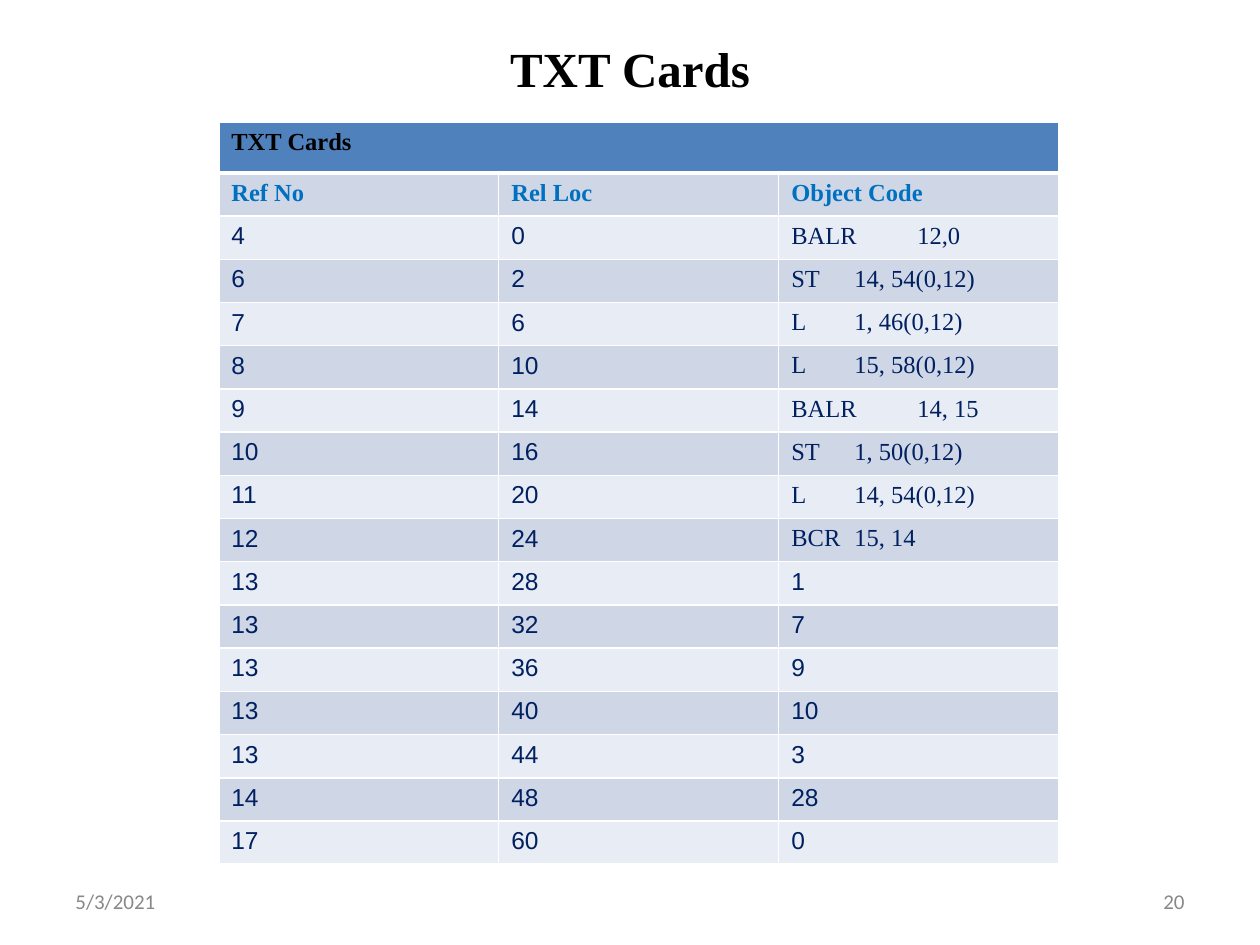
from dataclasses import dataclass

from lxml import etree
from pptx import Presentation
from pptx import util as u
from pptx.dml.color import RGBColor
from pptx.enum import text
from pptx.oxml import ns

SERIF = "Times New Roman"
SANS = "Arial"
BANDS = ("E8ECF4", "CFD7E7")
COLUMN_WIDTH = 160
HEADER_HEIGHT = 28.8
ROW_HEIGHT = 24.7


@dataclass(frozen=True)
class Style:
    font: str
    size: float
    color: str
    bold: bool = False


@dataclass(frozen=True)
class Card:
    ref_no: int
    rel_loc: int
    object_code: str


@dataclass(frozen=True)
class FooterItem:
    wording: str
    left: float
    align: text.PP_ALIGN


TITLE = Style(SERIF, 28, "000000", True)
CAPTION = Style(SERIF, 14, "000000", True)
HEADING = Style(SERIF, 14, "0070C0", True)
NUMBER = Style(SANS, 14, "002060")
INSTRUCTION = Style(SERIF, 14, "002060")
FOOTER = Style("Calibri", 12, "888888")

HEADINGS = ("Ref No", "Rel Loc", "Object Code")
CARDS = (
    Card(4, 0, "BALR \t12,0"),
    Card(6, 2, "ST \t14, 54(0,12)"),
    Card(7, 6, "L\t1, 46(0,12)"),
    Card(8, 10, "L\t15, 58(0,12)"),
    Card(9, 14, "BALR \t14, 15"),
    Card(10, 16, "ST \t1, 50(0,12)"),
    Card(11, 20, "L\t14, 54(0,12)"),
    Card(12, 24, "BCR \t15, 14"),
    Card(13, 28, "1"),
    Card(13, 32, "7"),
    Card(13, 36, "9"),
    Card(13, 40, "10"),
    Card(13, 44, "3"),
    Card(14, 48, "28"),
    Card(17, 60, "0"),
)
FOOTER_ITEMS = (
    FooterItem("5/3/2021", 36, text.PP_ALIGN.LEFT),
    FooterItem("20", 516, text.PP_ALIGN.RIGHT),
)


def rgb(hex_color: str) -> RGBColor:
    return RGBColor.from_string(hex_color)


def write(frame, wording: str, style: Style, align=text.PP_ALIGN.LEFT) -> None:
    paragraph = frame.paragraphs[0]
    paragraph.add_run().text = wording
    paragraph.alignment = align
    paragraph.font.name = style.font
    paragraph.font.size = u.Pt(style.size)
    paragraph.font.bold = style.bold
    paragraph.font.color.rgb = rgb(style.color)


def add_borders(cell, top: float, bottom: float) -> None:
    properties = cell._tc.get_or_add_tcPr()
    for side, width in (("L", 1), ("R", 1), ("T", top), ("B", bottom)):
        line = etree.SubElement(properties, ns.qn(f"a:ln{side}"), w=str(u.Pt(width)))
        fill = etree.SubElement(line, ns.qn("a:solidFill"))
        etree.SubElement(fill, ns.qn("a:srgbClr"), val="FFFFFF")


def style_cell(cell, row: int) -> None:
    add_borders(cell, 3 if row == 1 else 1, 3 if row == 0 else 1)
    cell.fill.solid()
    cell.fill.fore_color.rgb = rgb("4F81BD" if row == 0 else BANDS[row % 2])


def add_card_table(slide) -> None:
    row_count = len(CARDS) + 2
    height = HEADER_HEIGHT + ROW_HEIGHT * (row_count - 1)
    table = slide.shapes.add_table(
        row_count, len(HEADINGS), u.Pt(125), u.Pt(70),
        u.Pt(COLUMN_WIDTH * len(HEADINGS)), u.Pt(height),
    ).table
    for column in table.columns:
        column.width = u.Pt(COLUMN_WIDTH)
    for index, row in enumerate(table.rows):
        row.height = u.Pt(ROW_HEIGHT if index else HEADER_HEIGHT)
        for cell in row.cells:
            style_cell(cell, index)

    caption = table.cell(0, 0)
    caption.merge(table.cell(0, len(HEADINGS) - 1))
    write(caption.text_frame, "TXT Cards", CAPTION)
    for column, heading in enumerate(HEADINGS):
        write(table.cell(1, column).text_frame, heading, HEADING)
    for row, card in enumerate(CARDS, start=2):
        for column, value in enumerate((card.ref_no, card.rel_loc, card.object_code)):
            wording = str(value)
            style = INSTRUCTION if "\t" in wording else NUMBER
            write(table.cell(row, column).text_frame, wording, style)


def add_title(slide) -> None:
    title = slide.shapes.title
    title.left, title.top = u.Pt(54), u.Pt(18)
    title.width, title.height = u.Pt(612), u.Pt(42)
    title.text_frame.vertical_anchor = text.MSO_ANCHOR.MIDDLE
    write(title.text_frame, "TXT Cards", TITLE, text.PP_ALIGN.CENTER)


def add_footer_item(slide, item: FooterItem) -> None:
    box = slide.shapes.add_textbox(u.Pt(item.left), u.Pt(500.5), u.Pt(168), u.Pt(28.75))
    box.text_frame.word_wrap = True
    box.text_frame.vertical_anchor = text.MSO_ANCHOR.MIDDLE
    write(box.text_frame, item.wording, FOOTER, item.align)


def main() -> None:
    presentation = Presentation()
    presentation.slide_width, presentation.slide_height = u.Pt(720), u.Pt(540)
    slide = presentation.slides.add_slide(presentation.slide_layouts.get_by_name("Title Only"))
    add_title(slide)
    for item in FOOTER_ITEMS:
        add_footer_item(slide, item)
    add_card_table(slide)
    presentation.save("out.pptx")


if __name__ == "__main__":
    main()
